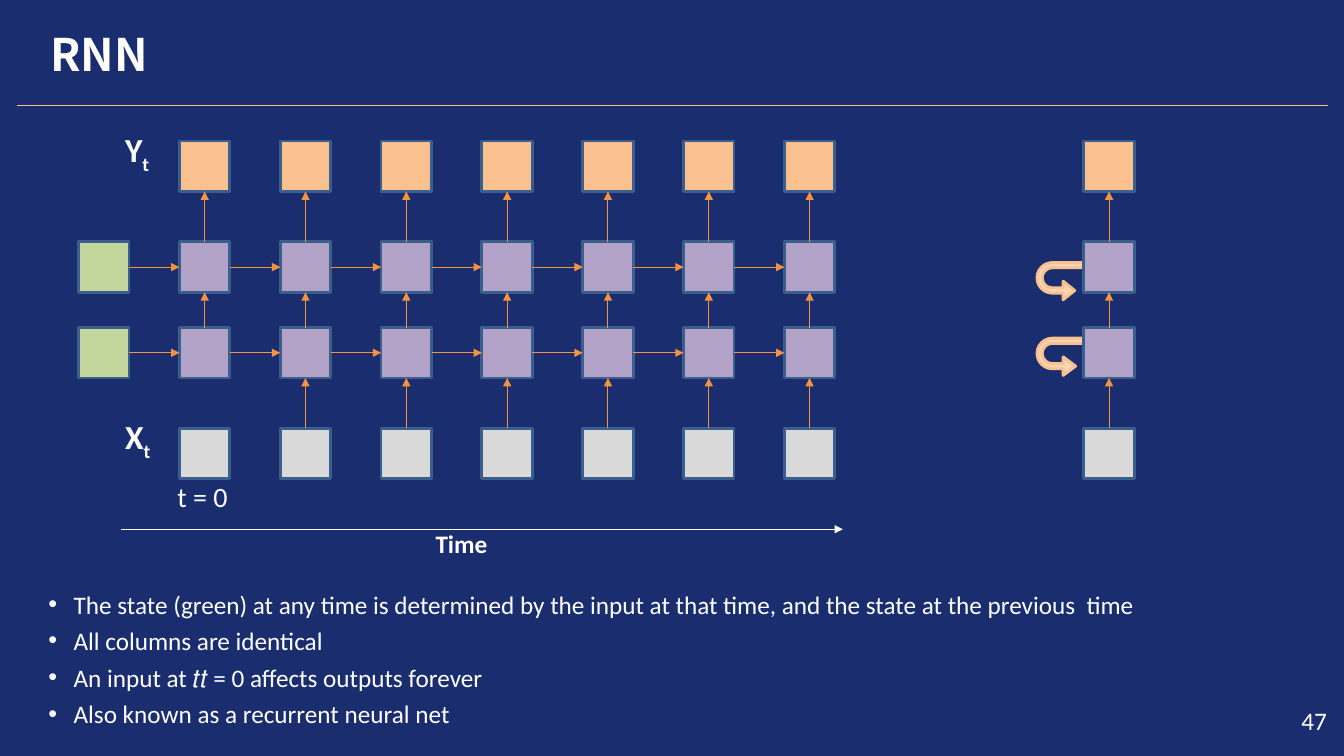
from lxml import etree
from pptx import Presentation
from pptx.dml.color import RGBColor
from pptx.enum.shapes import MSO_CONNECTOR, MSO_SHAPE
from pptx.enum.text import MSO_ANCHOR, MSO_AUTO_SIZE, PP_ALIGN
from pptx.oxml.ns import qn
from pptx.util import Inches, Pt

NAVY = RGBColor(0x1A, 0x2D, 0x6F)
WHITE = RGBColor(0xFF, 0xFF, 0xFF)
PEACH = RGBColor(0xFA, 0xC0, 0x90)
PALE_PEACH = RGBColor(0xFC, 0xD5, 0xB5)
PURPLE = RGBColor(0xB3, 0xA2, 0xC7)
GREY = RGBColor(0xD9, 0xD9, 0xD9)
GREEN = RGBColor(0xC3, 0xD6, 0x9B)
STEEL = RGBColor(0x3A, 0x5F, 0x8C)
ORANGE = RGBColor(0xF6, 0x92, 0x40)

STRAIGHT = MSO_CONNECTOR.STRAIGHT
RECTANGLE = MSO_SHAPE.RECTANGLE
U_TURN = MSO_SHAPE.U_TURN_ARROW
TOP, MIDDLE = MSO_ANCHOR.TOP, MSO_ANCHOR.MIDDLE
LEFT, RIGHT = PP_ALIGN.LEFT, PP_ALIGN.RIGHT
NO_AUTOFIT = MSO_AUTO_SIZE.NONE

SIDE_TOP, SIDE_LEFT, SIDE_BOTTOM, SIDE_RIGHT = range(4)
CELL = 0.5
FIRST_STEP_X = 1.78
STEP_COUNT = 7
FOLDED_X = 10.75
UPPER_Y, LOWER_Y = 2.4, 3.25
LAYERS = [(1.4, PEACH), (UPPER_Y, PURPLE), (LOWER_Y, PURPLE), (4.25, GREY)]

BULLETS = [
    ("The state (green) at any time is determined by the input at that time, "
     "and the state at the previous  time", 0),
    ("All columns are identical", 4.1),
    ("An input at 𝑡𝑡 = 0 affects outputs forever", 5),
    ("Also known as a recurrent neural net", 4.5),
]


def style_font(font, size, bold=False, name="Calibri"):
    font.name = name
    font.size = Pt(size)
    font.bold = bold
    font.color.rgb = WHITE


def place(shape, left, top, width, height):
    shape.left, shape.top = Inches(left), Inches(top)
    shape.width, shape.height = Inches(width), Inches(height)


def set_margins(frame, top):
    frame.margin_left = frame.margin_right = frame.margin_bottom = 0
    frame.margin_top = Inches(top)


def style_shape(shape, fill, outline):
    shape.shadow.inherit = False
    shape.fill.solid()
    shape.fill.fore_color.rgb = fill
    shape.line.color.rgb = outline
    shape.line.width = Pt(2)


def add_cell(slide, left, top, fill):
    cell = slide.shapes.add_shape(
        RECTANGLE, Inches(left), Inches(top), Inches(CELL), Inches(CELL))
    style_shape(cell, fill, STEEL)
    return cell


def add_line(slide, start, end, color, arrow=True):
    points = [Inches(value) for value in start + end]
    line = slide.shapes.add_connector(STRAIGHT, *points)
    line.line.color.rgb = color
    line.line.width = Pt(0.75)
    if arrow:
        etree.SubElement(line.line._ln, qn("a:tailEnd"), type="triangle")
    etree.SubElement(line._element.spPr, qn("a:effectLst"))
    return line


def link(slide, source, source_side, target, target_side):
    arrow = add_line(slide, (0, 0), (0, 0), ORANGE)
    arrow.begin_connect(source, source_side)
    arrow.end_connect(target, target_side)


def add_column(slide, left, has_input):
    column = [add_cell(slide, left, top, fill) for top, fill in LAYERS]
    for index, (above, below) in enumerate(zip(column, column[1:])):
        if has_input or index < 2:
            link(slide, below, SIDE_TOP, above, SIDE_BOTTOM)
    return column


def add_unrolled_network(slide):
    columns = [add_column(slide, FIRST_STEP_X + step, step > 0)
               for step in range(STEP_COUNT)]
    for layer, top in ((1, UPPER_Y), (2, LOWER_Y)):
        state = add_cell(slide, FIRST_STEP_X - 1, top, GREEN)
        for column in columns:
            link(slide, state, SIDE_RIGHT, column[layer], SIDE_LEFT)
            state = column[layer]


def add_loop(slide, top, adjustments):
    loop = slide.shapes.add_shape(
        U_TURN, Inches(10.35), Inches(top), Inches(0.37), Inches(0.5))
    style_shape(loop, PALE_PEACH, PEACH)
    for index, value in enumerate(adjustments):
        loop.adjustments[index] = value
    loop.rotation = 90
    loop._element.spPr.xfrm.set("flipV", "1")


def add_label(slide, box, text, size, bold=True, subscript=None):
    frame = slide.shapes.add_textbox(*[Inches(v) for v in box]).text_frame
    frame.word_wrap = True
    set_margins(frame, 0.01)
    paragraph = frame.paragraphs[0]
    paragraph.text = text
    paragraph.line_spacing = Pt(11.2)
    paragraph._p.get_or_add_pPr().set("marL", str(Inches(0.04)))
    if subscript:
        lowered = paragraph.add_run()
        lowered.text = subscript
        lowered._r.get_or_add_rPr().set("baseline", "-25000")
    for run in paragraph.runs:
        style_font(run.font, size, bold)


def add_page_number(slide, number):
    box = slide.shapes.add_textbox(
        Inches(12.83), Inches(7), Inches(0.33), Inches(0.3))
    frame = box.text_frame
    frame.word_wrap = True
    set_margins(frame, 0)
    frame.text = number
    frame.paragraphs[0].alignment = RIGHT
    style_font(frame.paragraphs[0].runs[0].font, 18)


def fill_title(title, text):
    place(title, 0.5, 0.25, 9.08, 0.55)
    frame = title.text_frame
    frame.auto_size = NO_AUTOFIT
    frame.vertical_anchor = MIDDLE
    set_margins(frame, 0.01)
    frame.text = text
    frame.paragraphs[0].alignment = LEFT
    style_font(frame.paragraphs[0].runs[0].font, 32, True, "Noto Sans CJK KR")


def fill_bullets(body):
    place(body, 0.36, 5.76, 11.33, 1.55)
    frame = body.text_frame
    frame.auto_size = NO_AUTOFIT
    frame.vertical_anchor = TOP
    frame.text = "\n".join(text for text, _ in BULLETS)
    for paragraph, (_, space) in zip(frame.paragraphs, BULLETS):
        properties = paragraph._p.get_or_add_pPr()
        properties.set("marL", str(Inches(0.27)))
        properties.set("indent", str(Inches(-0.25)))
        paragraph.space_before = Pt(space)
        style_font(paragraph.runs[0].font, 18)
    frame.paragraphs[0].line_spacing = Pt(23.9)


def main():
    deck = Presentation()
    deck.slide_width, deck.slide_height = Inches(13.33), Inches(7.5)
    slide = deck.slides.add_slide(deck.slide_layouts[1])
    slide.background.fill.solid()
    slide.background.fill.fore_color.rgb = NAVY
    fill_title(slide.shapes.title, "RNN")
    fill_bullets(slide.placeholders[1])
    add_line(slide, (0.17, 1.05), (13.17, 1.05), PEACH, arrow=False)
    add_loop(slide, 2.54, (0.143, 0.25, 0.311, 0.43, 0.75))
    add_loop(slide, 3.29, (0.143, 0.25, 0.335, 0.43, 0.768))
    add_unrolled_network(slide)
    add_column(slide, FOLDED_X, True)
    add_label(slide, (1.2, 1.57, 0.67, 0.17), "Y", 24, subscript="t")
    add_label(slide, (1.2, 4.42, 0.42, 0.17), "X", 24, subscript="t")
    add_label(slide, (1.72, 4.93, 0.81, 0.2), "t = 0", 20, bold=False)
    add_line(slide, (1.2, 5.25), (8.36, 5.25), WHITE)
    add_label(slide, (4.28, 5.38, 0.87, 0.2), "Time", 18)
    add_page_number(slide, "47")
    deck.save("out.pptx")


if __name__ == "__main__":
    main()
